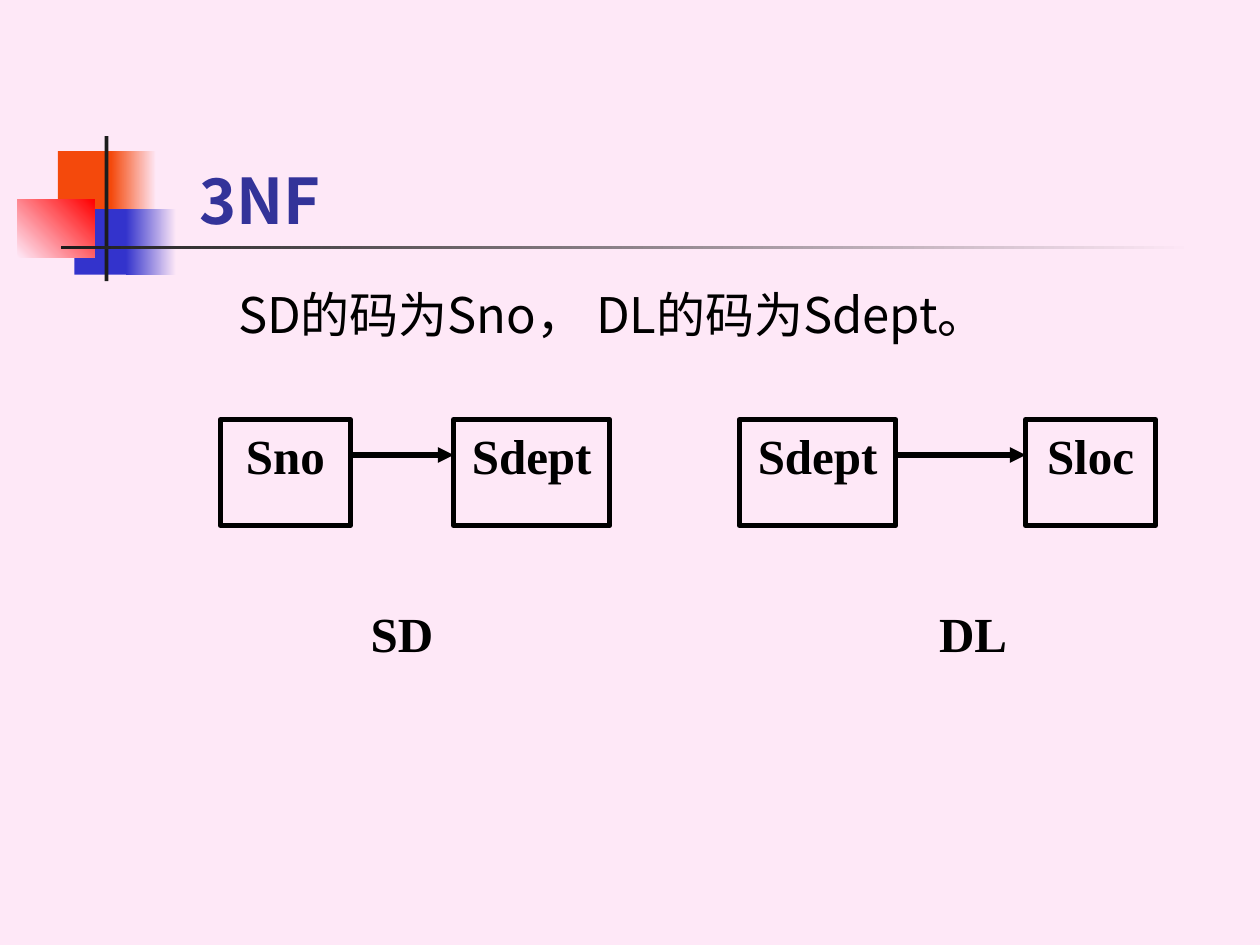
from lxml.etree import SubElement
from pptx import Presentation
from pptx.dml.color import RGBColor
from pptx.enum.shapes import MSO_CONNECTOR, MSO_SHAPE
from pptx.enum.text import MSO_ANCHOR, PP_ALIGN
from pptx.oxml.ns import qn
from pptx.util import Pt

COLORS = {name: RGBColor.from_string(value) for name, value in {
    "background": "FEE8F7", "orange": "F4490C", "blue": "3333CC", "red": "FF0000",
    "dark": "1C1C1C", "title": "333399", "black": "000000"}.items()}

# left, top, width, height, fill colours (two make a gradient), gradient angle
DECORATION = [
    (33.1, 86.4, 34.6, 37.4, ["orange"], 0),
    (63.4, 86.4, 25.9, 37.4, ["orange", "background"], 0),
    (42.5, 119.5, 33.1, 37.4, ["blue"], 0),
    (72, 119.5, 28.8, 37.4, ["blue", "background"], 0),
    (10.1, 113.8, 43.9, 33.1, ["background", "red"], 45),
    (59.8, 77.8, 2.2, 82.8, ["dark"], 0),
    (34.6, 140.4, 648, 2.2, ["dark", "background"], 0),
]
TITLE = "3NF"
STATEMENT = "SD的码为Sno， DL的码为Sdept。"
# caption, caption left, then (text, left, width) of the two boxes
RELATIONS = [
    ("SD", 200.2, ("Sno", 126, 74.2), ("Sdept", 259.2, 89.3)),
    ("DL", 526.5, ("Sdept", 422.6, 89.3), ("Sloc", 586.1, 74.2)),
]
BOX_TOP, BOX_HEIGHT, ARROW_Y = 239.8, 60.5, 260
CAPTION_TOP, CAPTION_WIDTH = 341.3, 59
LINE_WIDTH = 3

SANS, SERIF = "Noto Sans CJK SC", "Times New Roman"
TITLE_FONT = {"name": SANS, "size": Pt(36), "bold": True}
BODY_FONT = {"name": SANS, "size": Pt(28), "bold": False}
LABEL_FONT = {"name": SERIF, "size": Pt(28), "bold": True}


def write(shape, text, font, color="black", align=PP_ALIGN.LEFT,
          anchor=MSO_ANCHOR.TOP, margin_left=7.2):
    frame = shape.text_frame
    frame.word_wrap = True
    frame.vertical_anchor = anchor
    frame.margin_left = Pt(margin_left)
    paragraph = frame.paragraphs[0]
    paragraph.alignment = align
    run = paragraph.add_run()
    run.text = text
    for name, value in font.items():
        setattr(run.font, name, value)
    run.font.color.rgb = COLORS[color]
    SubElement(run.font._element, qn("a:ea"), typeface=font["name"])


def add_rectangle(shapes, left, top, width, height):
    shape = shapes.add_shape(MSO_SHAPE.RECTANGLE, Pt(left), Pt(top), Pt(width), Pt(height))
    shape.shadow.inherit = False
    return shape


def add_decoration(shapes, left, top, width, height, colors, angle):
    shape = add_rectangle(shapes, left, top, width, height)
    shape.line.fill.background()
    if len(colors) == 1:
        shape.fill.solid()
        shape.fill.fore_color.rgb = COLORS[colors[0]]
        return
    shape.fill.gradient()
    shape.fill.gradient_angle = angle
    for stop, color, position in zip(shape.fill.gradient_stops, colors, (0, 1)):
        stop.color.rgb = COLORS[color]
        stop.position = position


def draw_line(line):
    line.color.rgb = COLORS["black"]
    line.width = Pt(LINE_WIDTH)


def add_arrow(shapes, start, end):
    arrow = shapes.add_connector(MSO_CONNECTOR.STRAIGHT, Pt(start), Pt(ARROW_Y),
                                 Pt(end), Pt(ARROW_Y))
    draw_line(arrow.line)
    SubElement(arrow.line._get_or_add_ln(), qn("a:tailEnd"), type="triangle")
    SubElement(arrow._element.spPr, qn("a:effectLst"))


def add_relation(slide, caption, caption_left, source, target):
    shapes = slide.shapes.add_group_shape().shapes
    for text, left, width in (source, target):
        box = add_rectangle(shapes, left, BOX_TOP, width, BOX_HEIGHT)
        box.fill.background()
        draw_line(box.line)
        write(box, text, LABEL_FONT, align=PP_ALIGN.CENTER)
    add_arrow(shapes, source[1] + source[2], target[1])
    label = shapes.add_textbox(Pt(caption_left), Pt(CAPTION_TOP),
                               Pt(CAPTION_WIDTH), Pt(BOX_HEIGHT))
    write(label, caption, LABEL_FONT, align=PP_ALIGN.CENTER)


def main():
    presentation = Presentation()
    presentation.slide_width, presentation.slide_height = Pt(720), Pt(540)
    slide = presentation.slides.add_slide(presentation.slide_layouts[6])
    slide.background.fill.solid()
    slide.background.fill.fore_color.rgb = COLORS["background"]

    for part in DECORATION:
        add_decoration(slide.shapes, *part)

    title = slide.shapes.add_textbox(Pt(90.7), Pt(49), Pt(613.4), Pt(90))
    write(title, TITLE, TITLE_FONT, "title", anchor=MSO_ANCHOR.BOTTOM, margin_left=23.3)
    body = slide.shapes.add_textbox(Pt(92.9), Pt(159.1), Pt(612), Pt(324))
    write(body, STATEMENT, BODY_FONT, margin_left=43.2)

    for relation in RELATIONS:
        add_relation(slide, *relation)
    presentation.save("out.pptx")


if __name__ == "__main__":
    main()
